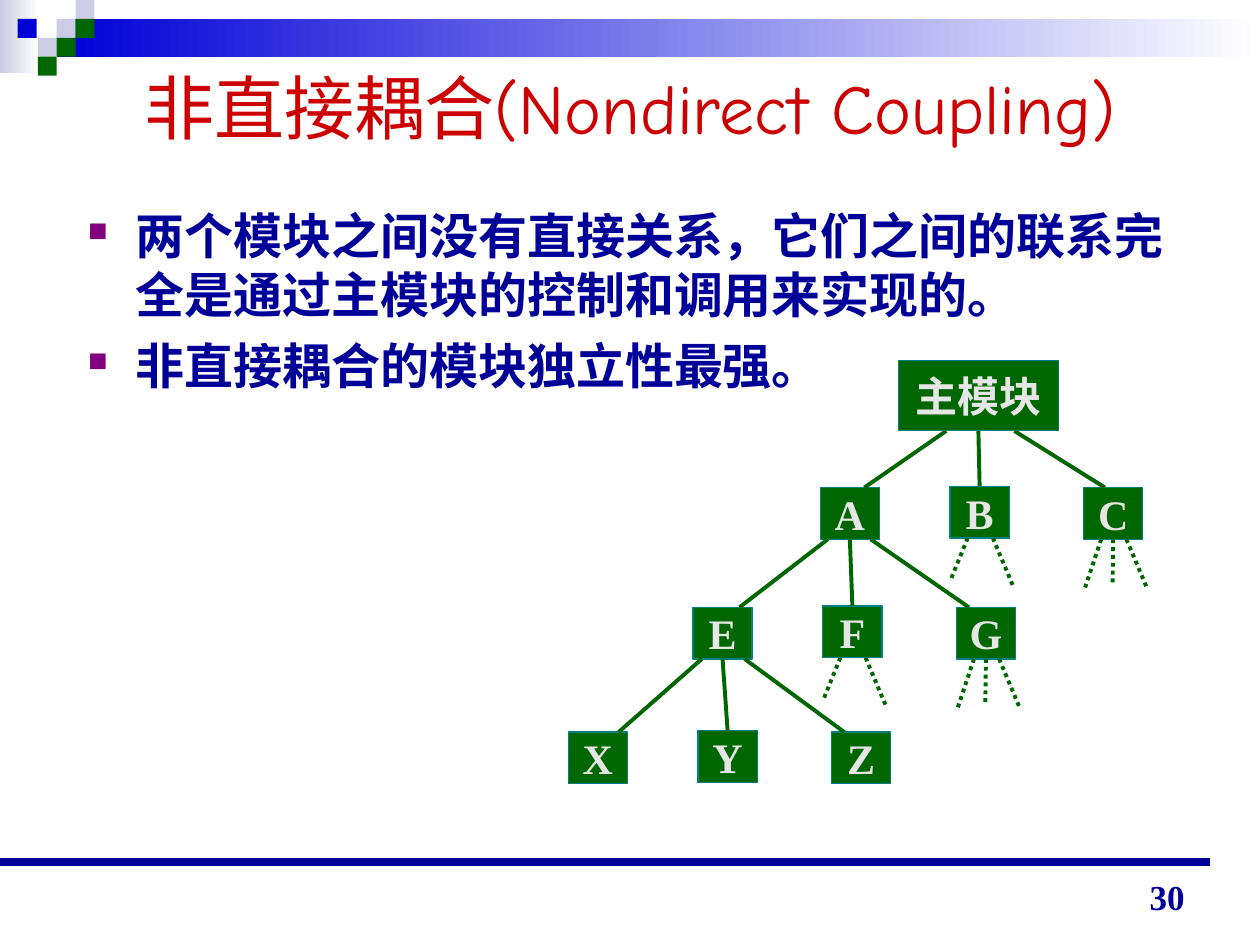
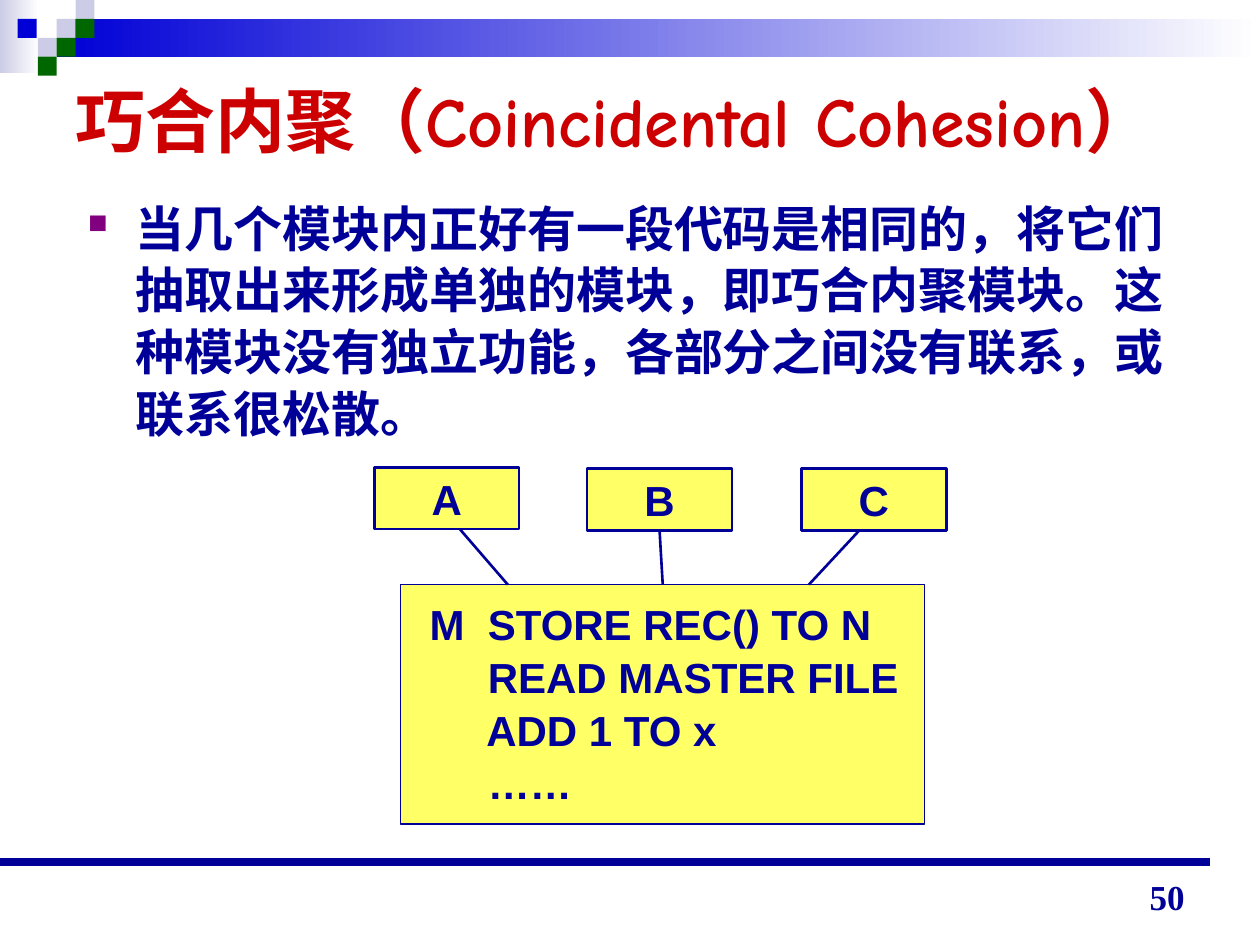
from dataclasses import dataclass

from lxml import etree
from pptx import Presentation
from pptx import util as u
from pptx.dml.color import RGBColor
from pptx.enum import dml, shapes, text
from pptx.oxml.ns import qn

PX = u.Inches(1) // 100  # 100 px to the inch


@dataclass(frozen=True)
class Theme:
    navy: str = "000099"
    blue: str = "0000D6"
    lilac: str = "CCCCE6"
    green: str = "006600"
    teal: str = "008080"
    red: str = "CC0000"
    purple: str = "800080"
    yellow: str = "FFFF66"
    pale: str = "E6E6E6"
    white: str = "FFFFFF"
    title_font: str = "Comic Neue"
    body_font: str = "Times New Roman"
    code_font: str = "Arial"
    title_size: int = 40
    body_size: int = 28
    label_size: int = 24
    number_size: int = 20


def set_font(paragraph, name, size, color, bold=True):
    font = paragraph.font
    font.name, font.size, font.bold = name, u.Pt(size), bold
    font.color.rgb = RGBColor.from_string(color)


def add_square_bullet(paragraph, color):
    properties = paragraph._p.get_or_add_pPr()
    indent = 38 * PX
    properties.set("marL", str(indent))
    properties.set("indent", str(-indent))
    bullet_color = etree.SubElement(properties, qn("a:buClr"))
    etree.SubElement(bullet_color, qn("a:srgbClr"), val=color)
    etree.SubElement(properties, qn("a:buSzPct"), val="55000")
    etree.SubElement(properties, qn("a:buChar"), char="■")


class Deck:
    def __init__(self, theme):
        self.theme = theme
        self.presentation = Presentation()
        self.presentation.slide_width = 1000 * PX
        self.presentation.slide_height = 750 * PX
        self.layout = self.presentation.slide_layouts[5]
        self.slide = None

    def start_slide(self, title, box, number, align, bold):
        theme = self.theme
        first = self.slide is None
        self.slide = self.presentation.slides.add_slide(self.layout)
        if first:
            self.decorate_layout()
        shape = self.slide.shapes.title
        shape.left, shape.top, shape.width, shape.height = (n * PX for n in box)
        frame = shape.text_frame
        frame.text = title
        frame.auto_size = text.MSO_AUTO_SIZE.NONE
        frame.vertical_anchor = text.MSO_ANCHOR.MIDDLE
        frame.paragraphs[0].alignment = align
        set_font(frame.paragraphs[0], theme.title_font, theme.title_size, theme.red, bold)
        self.page_number(number)

    def decorate_layout(self):
        """Draw the shared band, tiles and rule, then move them to the layout."""
        theme = self.theme
        for placeholder in list(self.layout.placeholders):
            if placeholder.placeholder_format.type != shapes.PP_PLACEHOLDER.TITLE:
                self.layout.shapes.element.remove(placeholder.element)
        parts = [
            self.fading_band((0, 0, 31, 58), theme.lilac),
            self.fading_band((45, 15, 955, 30), theme.blue),
        ]
        tiles = [
            (45, 15, theme.lilac), (60, 0, theme.lilac), (60, 15, theme.green),
            (30, 30, theme.lilac), (14, 15, theme.blue), (45, 30, theme.green),
            (30, 45, theme.green),
        ]
        parts += [self.box((x, y, 15, 15), color) for x, y, color in tiles]
        parts.append(self.line((0, 684), (960, 684), theme.navy, 4.5))
        for position, part in enumerate(parts, start=2):
            self.layout.shapes.element.insert(position, part.element)

    def page_number(self, number):
        theme = self.theme
        frame = self.text_box((717, 683, 233, 50))
        frame.vertical_anchor = text.MSO_ANCHOR.BOTTOM
        paragraph = frame.paragraphs[0]
        paragraph.text = str(number)
        paragraph.alignment = text.PP_ALIGN.RIGHT
        set_font(paragraph, theme.body_font, theme.number_size, theme.navy)

    def text_box(self, box):
        frame = self.slide.shapes.add_textbox(*(n * PX for n in box)).text_frame
        frame.word_wrap = True
        return frame

    def bullets(self, box, items, line_spacing=1.0):
        theme = self.theme
        frame = self.text_box(box)
        frame.text = "\n".join(items)
        for index, paragraph in enumerate(frame.paragraphs):
            add_square_bullet(paragraph, theme.purple)
            paragraph.line_spacing = line_spacing
            paragraph.space_before = u.Pt(7 if index else 0)
            set_font(paragraph, theme.body_font, theme.body_size, theme.navy)

    def box(self, box, fill, outline=None, weight=0.75):
        shape = self.slide.shapes.add_shape(
            shapes.MSO_SHAPE.RECTANGLE, *(n * PX for n in box))
        shape.shadow.inherit = False
        shape.fill.solid()
        shape.fill.fore_color.rgb = RGBColor.from_string(fill)
        if outline:
            shape.line.color.rgb = RGBColor.from_string(outline)
            shape.line.width = u.Pt(weight)
        else:
            shape.line.fill.background()
        return shape

    def fading_band(self, box, color):
        band = self.box(box, color)
        band.fill.gradient()
        band.fill.gradient_angle = 0
        for stop, stop_color in zip(band.fill.gradient_stops, (color, self.theme.white)):
            stop.color.rgb = RGBColor.from_string(stop_color)
        return band

    def label(self, shape, caption, font, color):
        frame = shape.text_frame
        frame.text = caption
        frame.word_wrap = False
        frame.vertical_anchor = text.MSO_ANCHOR.MIDDLE
        for paragraph in frame.paragraphs:
            paragraph.alignment = text.PP_ALIGN.CENTER
            set_font(paragraph, font, self.theme.label_size, color)

    def module(self, box, caption):
        shape = self.box(box, self.theme.green, self.theme.teal)
        self.label(shape, caption, self.theme.body_font, self.theme.pale)
        return shape

    def line(self, start, end, color, weight, dotted=False):
        connector = self.slide.shapes.add_connector(
            shapes.MSO_CONNECTOR.STRAIGHT, *(n * PX for n in (*start, *end)))
        connector.line.color.rgb = RGBColor.from_string(color)
        connector.line.width = u.Pt(weight)
        if dotted:
            connector.line.dash_style = dml.MSO_LINE.ROUND_DOT
        etree.SubElement(connector.element.spPr, qn("a:effectLst"))
        return connector

    def link(self, upper, lower, color, weight):
        connector = self.line((0, 0), (0, 0), color, weight)
        connector.begin_connect(upper, 2)
        connector.end_connect(lower, 0)


def nondirect_coupling(deck):
    green = deck.theme.green
    deck.start_slide("非直接耦合(Nondirect Coupling)", (50, 50, 900, 69), 30,
                     text.PP_ALIGN.CENTER, bold=False)
    deck.bullets((60, 158, 900, 425), [
        "两个模块之间没有直接关系，它们之间的联系完全是通过主模块的控制和调用来实现的。",
        "非直接耦合的模块独立性最强。",
    ])

    modules = {"主模块": deck.module((713, 286, 127, 56), "主模块")}
    width, height = 47, 41
    # parent, children, left and top of the tier, x ends of its outer lines
    tiers = [
        ("主模块", "ABC", 651, 387, ((751, 686), (805, 877))),
        ("A", "EFG", 550, 482, ((657, 587), (691, 769))),
        ("E", "XYZ", 451, 581, ((557, 491), (591, 670))),
    ]
    for parent_name, children, left, top, outer_lines in tiers:
        for name, dx, dy in zip(children, (0, 103, 209), (0, -1, 0)):
            modules[name] = deck.module((left + dx, top + dy, width, height), name)
        parent = modules[parent_name]
        bottom = (parent.top + parent.height) // PX
        for start_x, end_x in outer_lines:
            deck.line((start_x, bottom), (end_x, top), green, 2.25)
        deck.link(parent, modules[children[1]], green, 2.25)

    for name, left_drop in (("B", 32), ("F", 32), ("C", 39), ("G", 39)):
        module = modules[name]
        left, bottom = module.left // PX, (module.top + module.height) // PX
        for start_dx, end_dx, drop in ((14, 1, left_drop), (34, 50, 38)):
            deck.line((left + start_dx, bottom), (left + end_dx, bottom + drop),
                      green, 2.25, dotted=True)
        if name in "CG":
            middle = left + width / 2
            stem = deck.line((int(middle), bottom), (int(middle), bottom + 37),
                             green, 2.25, dotted=True)
            stem.begin_connect(module, 2)


def coincidental_cohesion(deck):
    theme = deck.theme
    deck.start_slide("巧合内聚（Coincidental Cohesion）", (50, 52, 932, 85), 50,
                     text.PP_ALIGN.LEFT, bold=True)
    deck.bullets((60, 150, 880, 285), [
        "当几个模块内正好有一段代码是相同的，将它们抽取出来形成单独的模块，"
        "即巧合内聚模块。这种模块没有独立功能，各部分之间没有联系，或联系很松散。",
    ], line_spacing=1.05)

    callers = {}
    for name, left, top in (("A", 297, 371), ("B", 466, 372), ("C", 636, 372)):
        callers[name] = deck.box((left, top, 115, 49), theme.yellow, theme.navy, 1.5)
        deck.label(callers[name], name, theme.code_font, theme.navy)

    code = deck.box((318, 464, 416, 190), theme.yellow, theme.navy)
    deck.label(code, "M  STORE REC() TO N\n     READ MASTER FILE\n"
                     "     ADD 1 TO x\n     ……", theme.code_font, theme.navy)
    code.text_frame.margin_left = 23 * PX
    code.text_frame.vertical_anchor = text.MSO_ANCHOR.TOP
    code.text_frame.margin_top = 11 * PX
    for index, paragraph in enumerate(code.text_frame.paragraphs):
        paragraph.alignment = text.PP_ALIGN.LEFT
        paragraph.space_before = u.Pt(1.5 if index else 0)
        paragraph.line_spacing = 1.0

    deck.line((365, 420), (403, 464), theme.navy, 1.5)
    deck.link(callers["B"], code, theme.navy, 1.5)
    deck.line((682, 421), (642, 464), theme.navy, 1.5)


def main():
    deck = Deck(Theme())
    nondirect_coupling(deck)
    coincidental_cohesion(deck)
    deck.presentation.save("out.pptx")


if __name__ == "__main__":
    main()
